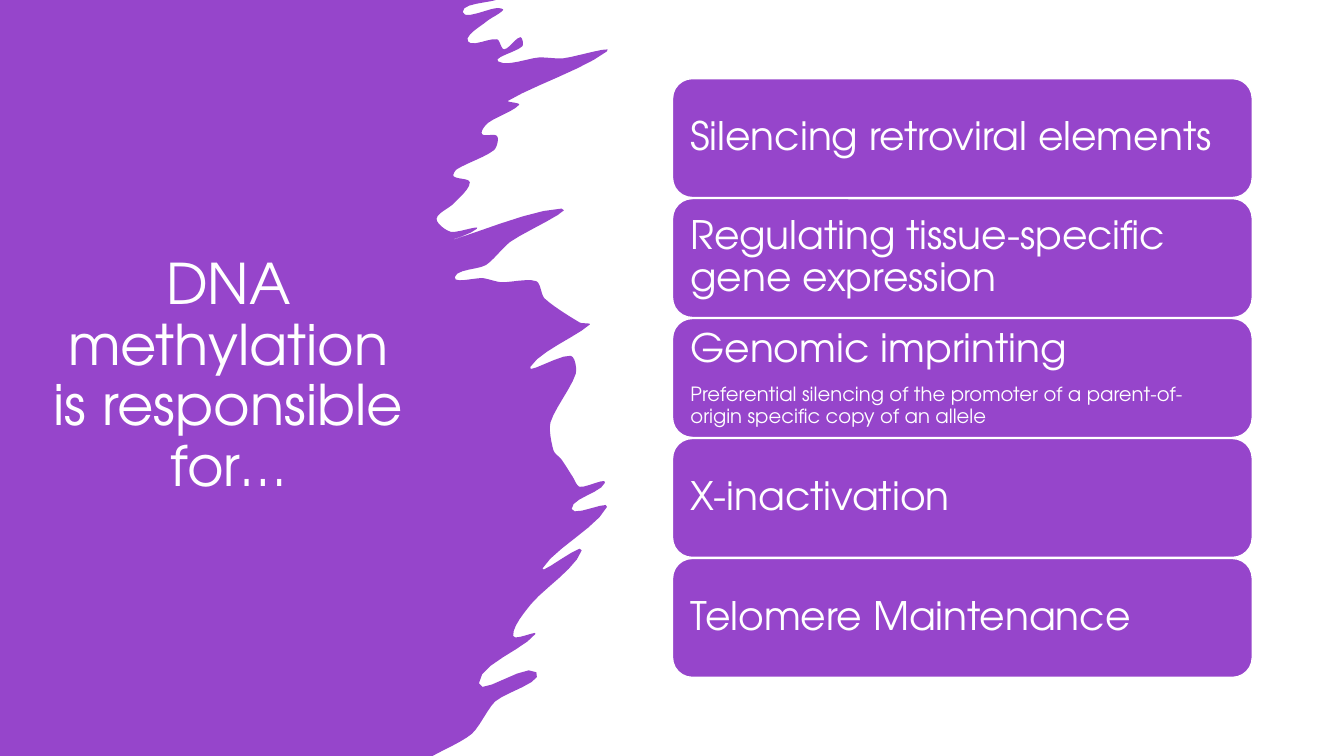
from dataclasses import dataclass

from pptx import Presentation
from pptx.dml.color import RGBColor
from pptx.enum.shapes import MSO_SHAPE
from pptx.enum.text import MSO_ANCHOR, PP_ALIGN
from pptx.util import Pt

ROUNDED = MSO_SHAPE.ROUNDED_RECTANGLE
MIDDLE = MSO_ANCHOR.MIDDLE
LEFT, CENTER = PP_ALIGN.LEFT, PP_ALIGN.CENTER

PX = 9144  # EMU in one px, 100 px to the inch
SLIDE_WIDTH, SLIDE_HEIGHT = 1333, 750
BLANK_LAYOUT = 6
CURVE_STEPS = 6
CURVE_PULL = 0.25


@dataclass(frozen=True)
class Theme:
    purple: RGBColor = RGBColor(0x96, 0x45, 0xCB)
    white: RGBColor = RGBColor(0xFF, 0xFF, 0xFF)
    font: str = "TeX Gyre Adventor"
    title_size: int = 40
    card_size: int = 28
    detail_size: int = 14


THEME = Theme()

TITLE = "DNA methylation\vis responsible for…"
CARDS = [
    ["Silencing retroviral elements"],
    ["Regulating tissue-specific gene expression"],
    ["Genomic imprinting",
     "Preferential silencing of the promoter of a parent-of-origin specific copy of an allele"],
    ["X-inactivation"],
    ["Telomere Maintenance"],
]
CARD_LEFT, CARD_TOP, CARD_WIDTH, CARD_HEIGHT, CARD_PITCH = 667, 78, 575, 118, 119

# Tips and notches of the brush stroke's right edge, top to bottom, in px
BRUSH_EDGE = [
    (492, 0), (459, 12), (493, 8), (499, 10), (483, 21), (464, 41), (493, 39), (500, 49),
    (516, 37), (518, 46), (494, 61), (535, 57), (558, 58), (602, 51), (504, 100), (515, 104),
    (484, 122), (478, 133), (493, 135), (490, 149), (453, 168), (450, 175), (466, 181),
    (450, 202), (433, 217), (447, 230), (473, 227), (435, 242), (557, 207), (506, 240),
    (482, 263), (451, 275), (479, 276), (497, 280), (532, 279), (540, 296), (575, 320),
    (585, 322), (526, 364), (566, 353), (571, 371), (546, 419), (549, 447), (557, 456),
    (568, 473), (575, 483), (600, 479), (567, 505), (602, 503), (538, 564), (577, 546),
    (527, 599), (509, 631), (531, 629), (475, 678), (532, 667), (491, 696), (468, 728),
    (429, 750),
]


def smooth(corners):
    """Points of a soft curve through the corners, each leaving along its neighbours' chord."""
    knots = [complex(x, y) for x, y in corners]
    ahead = knots[1:] + knots[-1:]
    behind = knots[:1] + knots[:-1]
    headings = [(after - before) / abs(after - before) for after, before in zip(ahead, behind)]
    points = [knots[0]]
    for index in range(len(knots) - 1):
        start, end = knots[index], knots[index + 1]
        pull = abs(end - start) * CURVE_PULL
        first = start + headings[index] * pull
        second = end - headings[index + 1] * pull
        for step in range(1, CURVE_STEPS + 1):
            t = step / CURVE_STEPS
            u = 1 - t
            points.append(u**3 * start + 3*u*u*t * first + 3*u*t*t * second + t**3 * end)
    return [(point.real, point.imag) for point in points]


def paint(shape, fill, line=None):
    shape.shadow.inherit = False
    shape.fill.solid()
    shape.fill.fore_color.rgb = fill
    if line is None:
        shape.line.fill.background()
    else:
        shape.line.color.rgb = line
        shape.line.width = Pt(1)


def write_text(shape, lines, *, sizes, align=LEFT, inset=(10, 5), space_after=0):
    """Fill a shape with one paragraph per line, each at its own size."""
    frame = shape.text_frame
    frame.word_wrap = True
    frame.vertical_anchor = MIDDLE
    frame.margin_left = frame.margin_right = inset[0] * PX
    frame.margin_top = frame.margin_bottom = inset[1] * PX
    for index, (line, size) in enumerate(zip(lines, sizes)):
        para = frame.add_paragraph() if index else frame.paragraphs[0]
        para.text = line
        para.alignment = align
        para.line_spacing = 0.9
        para.space_after = Pt(space_after)
        for span in para.runs:
            span.font.name = THEME.font
            span.font.size = Pt(size)
            span.font.color.rgb = THEME.white


def add_brush_stroke(page):
    outline = smooth(BRUSH_EDGE) + [(0, SLIDE_HEIGHT)]
    builder = page.shapes.build_freeform(0, 0)
    builder.add_line_segments([(x * PX, y * PX) for x, y in outline], close=True)
    paint(builder.convert_to_shape(), THEME.purple)


def add_title(page):
    box = page.shapes.add_textbox(37 * PX, 170 * PX, 379 * PX, 409 * PX)
    write_text(box, [TITLE], sizes=[THEME.title_size], align=CENTER)


def add_card(page, top, lines):
    card = page.shapes.add_shape(
        ROUNDED, CARD_LEFT * PX, top * PX, CARD_WIDTH * PX, CARD_HEIGHT * PX)
    paint(card, THEME.purple, THEME.white)
    write_text(card, lines, sizes=[THEME.card_size, THEME.detail_size],
               inset=(12, 12), space_after=10)


def main():
    deck = Presentation()
    deck.slide_width = SLIDE_WIDTH * PX
    deck.slide_height = SLIDE_HEIGHT * PX
    page = deck.slides.add_slide(deck.slide_layouts[BLANK_LAYOUT])
    add_brush_stroke(page)
    add_title(page)
    for index, lines in enumerate(CARDS):
        add_card(page, CARD_TOP + index * CARD_PITCH, lines)
    deck.save("out.pptx")


if __name__ == "__main__":
    main()
